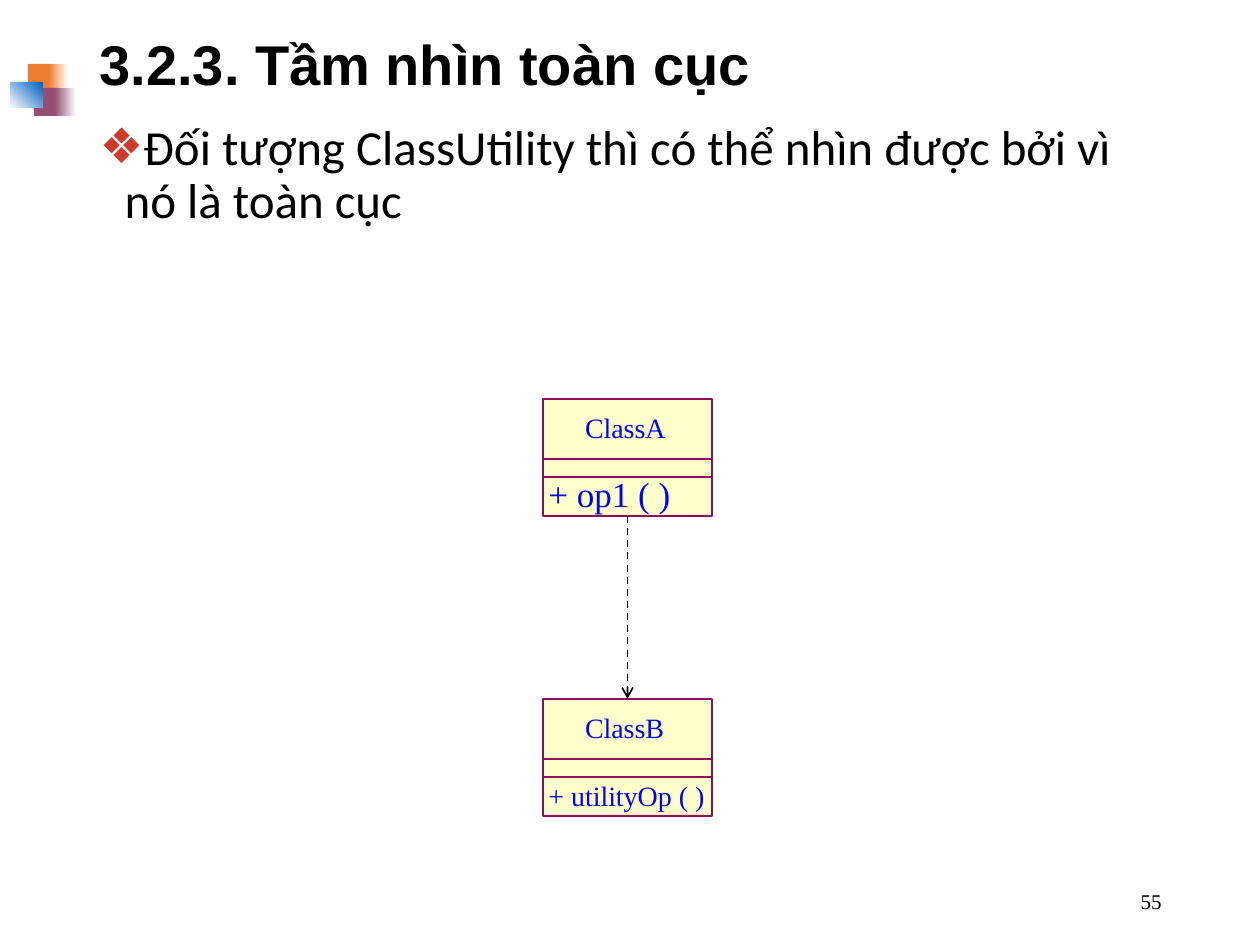
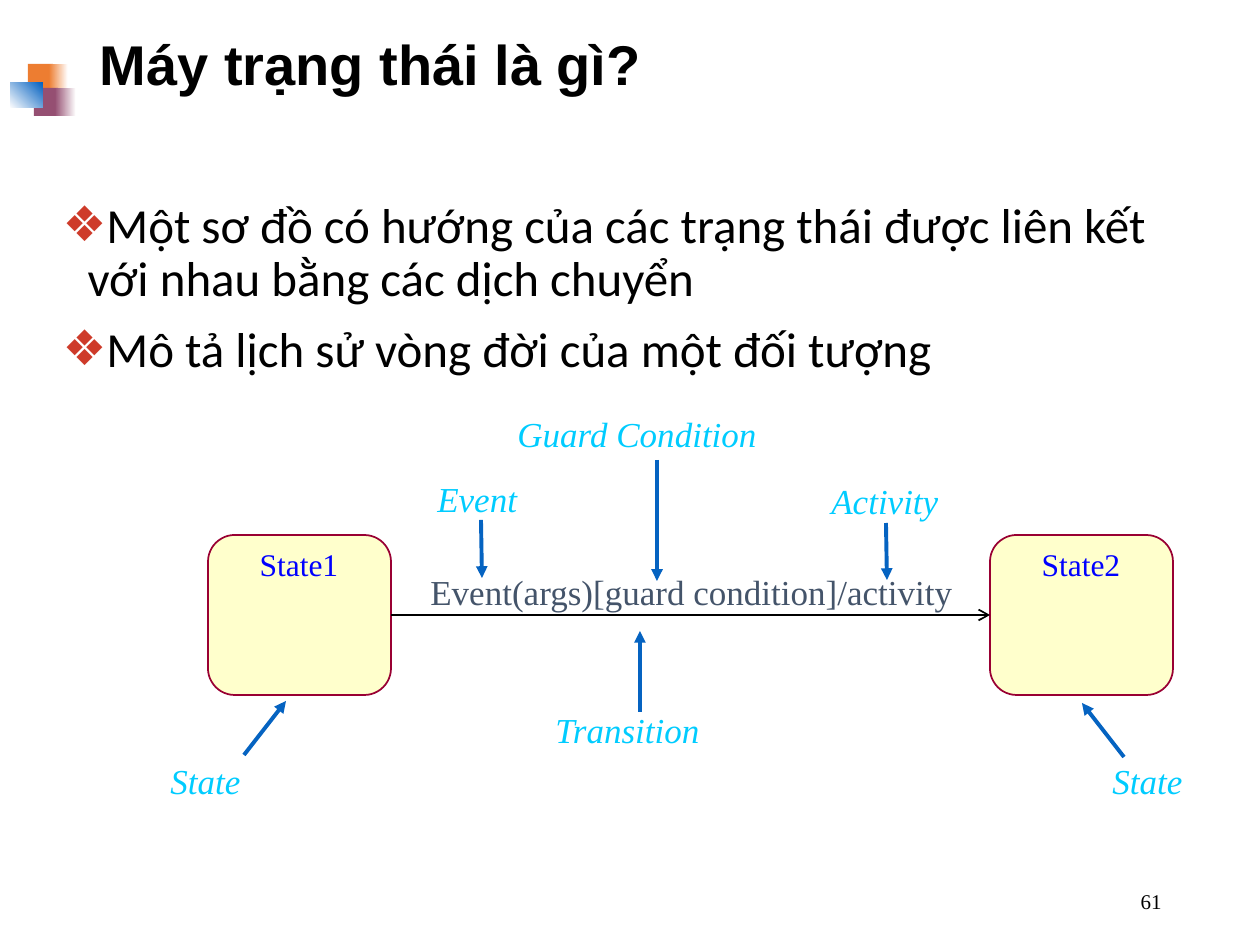
import lxml.etree
import pptx
import pptx.dml.color
import pptx.enum.dml
import pptx.enum.shapes
import pptx.enum.text
import pptx.oxml.ns
import pptx.util

RGBColor = pptx.dml.color.RGBColor
BLACK = RGBColor(0x00, 0x00, 0x00)
WHITE = RGBColor(0xFF, 0xFF, 0xFF)
ORANGE = RGBColor(0xED, 0x7D, 0x31)
PURPLE = RGBColor(0x95, 0x4F, 0x72)
BLUE = RGBColor(0x05, 0x63, 0xC1)
BULLET_RED = RGBColor(0xCE, 0x3B, 0x2A)
CREAM = RGBColor(0xFF, 0xFF, 0xCC)
CLASS_BORDER = RGBColor(0x8A, 0x0E, 0x5E)
STATE_BORDER = RGBColor(0x99, 0x00, 0x33)
NAME_BLUE = RGBColor(0x00, 0x00, 0xFF)
CALLOUT_CYAN = RGBColor(0x00, 0xCC, 0xFF)
SLATE = RGBColor(0x44, 0x54, 0x6A)

EMU_PER_PX = 914400 / 126
SERIF = "Times New Roman"
RECTANGLE = pptx.enum.shapes.MSO_SHAPE.RECTANGLE
ROUNDED = pptx.enum.shapes.MSO_SHAPE.ROUNDED_RECTANGLE
ALIGN = pptx.enum.text.PP_ALIGN
ANCHOR = pptx.enum.text.MSO_ANCHOR
DASH = pptx.enum.dml.MSO_LINE.DASH
TOP, LEFT, BOTTOM, RIGHT = range(4)

CLASS_WIDTH, CLASS_HEIGHT = 169, 117
STATE_WIDTH, STATE_HEIGHT = 183, 160


def px(length):
    return pptx.util.Emu(round(length * EMU_PER_PX))


def place(shape, box):
    shape.left, shape.top, shape.width, shape.height = map(px, box)


def add_child(parent, tag, **attributes):
    return lxml.etree.SubElement(parent, pptx.oxml.ns.qn(tag), attributes)


def add_bullet(paragraph):
    properties = paragraph._p.get_or_add_pPr()
    properties.set("marL", str(px(25)))
    properties.set("indent", str(-px(25)))
    add_child(add_child(properties, "a:buClr"), "a:srgbClr", val=str(BULLET_RED))
    add_child(properties, "a:buChar", char="❖")


def write_text(frame, text, size, color=BLACK, font=SERIF, bold=False, italic=False,
               align=ALIGN.LEFT, anchor=ANCHOR.TOP, spacing=1.0, before=0,
               bullet=False, wrap=True, inset=None):
    frame.auto_size = pptx.enum.text.MSO_AUTO_SIZE.NONE
    frame.word_wrap = wrap
    frame.vertical_anchor = anchor
    if inset is not None:
        frame.margin_left = frame.margin_right = px(inset)
        frame.margin_top = frame.margin_bottom = px(inset)
    for index, line in enumerate(text.split("\n")):
        paragraph = frame.add_paragraph() if index else frame.paragraphs[0]
        if bullet:
            add_bullet(paragraph)
        paragraph.alignment = align
        paragraph.line_spacing = spacing
        paragraph.space_before = pptx.util.Pt(before if index else 0)
        run = paragraph.add_run()
        run.text = line
        run.font.size = pptx.util.Pt(size)
        run.font.name = font
        run.font.bold = bold
        run.font.italic = italic
        run.font.color.rgb = color


def add_label(slide, text, box, size, **text_format):
    label = slide.shapes.add_textbox(*map(px, box))
    write_text(label.text_frame, text, size, **text_format)


def add_block(slide, box, fill, border=None, kind=RECTANGLE):
    block = slide.shapes.add_shape(kind, *map(px, box))
    block.shadow.inherit = False
    block.fill.solid()
    block.fill.fore_color.rgb = fill
    if border is None:
        block.line.fill.background()
    else:
        block.line.color.rgb = border
        block.line.width = pptx.util.Pt(1)
    return block


def add_fade(slide, box, start, end, angle=0):
    fade = add_block(slide, box, start)
    fade.fill.gradient()
    fade.fill.gradient_angle = angle
    for stop, color in zip(fade.fill.gradient_stops, (start, end)):
        stop.color.rgb = color


def add_line(slide, ends, color, width=1, dash=None, head=None):
    line = slide.shapes.add_connector(
        pptx.enum.shapes.MSO_CONNECTOR.STRAIGHT, *map(px, ends))
    line.line.color.rgb = color
    line.line.width = pptx.util.Pt(width)
    if dash is not None:
        line.line.dash_style = dash
    properties = line._element.spPr
    if head:
        add_child(properties.find(pptx.oxml.ns.qn("a:ln")), "a:tailEnd", type=head)
    add_child(properties, "a:effectLst")
    return line


def join(slide, source, source_side, target, target_side, dash=None):
    link = add_line(slide, (0, 0, 1, 1), BLACK, dash=dash, head="arrow")
    link.begin_connect(source, source_side)
    link.end_connect(target, target_side)


def add_corner_motif(slide):
    add_block(slide, (28, 64, 25, 28), ORANGE)
    add_fade(slide, (49, 64, 19, 28), ORANGE, WHITE)
    add_block(slide, (34, 88, 24, 28), PURPLE)
    add_fade(slide, (55, 88, 21, 28), PURPLE, WHITE)
    add_fade(slide, (10, 83, 33, 25), WHITE, BLUE, angle=45)


def start_slide(deck, title, points, points_box, number):
    slide = deck.slides.add_slide(deck.slide_layouts[1])
    add_corner_motif(slide)
    heading, body = slide.placeholders
    place(heading, (87, 16, 1086, 102))
    write_text(heading.text_frame, title, 32, font="Arial", bold=True,
               anchor=ANCHOR.MIDDLE, spacing=0.9)
    place(body, points_box)
    write_text(body.text_frame, points, 28, font="Calibri", spacing=0.9,
               before=10, bullet=True)
    add_label(slide, number, (890, 876, 284, 50), 12, align=ALIGN.RIGHT,
              anchor=ANCHOR.MIDDLE)
    return slide


def add_class(slide, left, top, name, operation, operation_size, operation_offset):
    frame = add_block(slide, (left, top, CLASS_WIDTH, CLASS_HEIGHT), CREAM, CLASS_BORDER)
    for offset in (60, 78):
        add_line(slide, (left, top + offset, left + CLASS_WIDTH, top + offset), CLASS_BORDER)
    name_plate = add_block(slide, (left + 42, top + 12, 82, 34), CREAM)
    write_text(name_plate.text_frame, name, 16, color=NAME_BLUE, wrap=False, inset=0)
    add_label(slide, operation, (left - 7, top + operation_offset, 220, 50),
              operation_size, color=NAME_BLUE)
    return frame


def add_state(slide, left, top, name):
    state = add_block(slide, (left, top, STATE_WIDTH, STATE_HEIGHT), CREAM,
                      STATE_BORDER, ROUNDED)
    add_label(slide, name, (left + 21, top + 4, 140, 50), 18, color=NAME_BLUE,
              align=ALIGN.CENTER)
    return state


def add_callout(slide, text, left, top, width, arrow):
    add_label(slide, text, (left, top, width, 54), 20, color=CALLOUT_CYAN,
              italic=True, wrap=False)
    add_line(slide, arrow, BLUE, width=2.25, head="triangle")


def build_global_visibility(deck):
    slide = start_slide(
        deck, "3.2.3. Tầm nhìn toàn cục",
        "Đối tượng ClassUtility thì có thể nhìn được bởi vì nó là toàn cục",
        (87, 117, 1086, 713), "55")
    client = add_class(slide, 543, 399, "ClassA", "+ op1 ( )", 20, 67)
    utility = add_class(slide, 543, 699, "ClassB", "+ utilityOp ( )", 16, 73)
    join(slide, client, BOTTOM, utility, TOP, dash=DASH)


def build_state_machine(deck):
    slide = start_slide(
        deck, "Máy trạng thái là gì?",
        "Một sơ đồ có hướng của các trạng thái được liên kết với nhau bằng các dịch chuyển\n"
        "Mô tả lịch sử vòng đời của một đối tượng",
        (50, 195, 1152, 226), "61")
    first_state = add_state(slide, 208, 535, "State1")
    second_state = add_state(slide, 990, 535, "State2")
    join(slide, first_state, RIGHT, second_state, LEFT)
    add_label(slide, "Event(args)[guard condition]/activity", (418, 564, 568, 55), 20,
              color=SLATE)
    callouts = (
        ("State", 158, 753, 107, (244, 755, 286, 701)),
        ("State", 1100, 753, 107, (1124, 757, 1082, 703)),
        ("Transition", 543, 702, 179, (640, 712, 640, 631)),
        ("Guard Condition", 505, 406, 280, (657, 460, 657, 581)),
        ("Event", 425, 471, 115, (481, 520, 482, 578)),
        ("Activity", 819, 473, 136, (886, 523, 887, 580)),
    )
    for callout in callouts:
        add_callout(slide, *callout)


def main():
    deck = pptx.Presentation()
    deck.slide_width, deck.slide_height = px(1260), px(945)
    build_global_visibility(deck)
    build_state_machine(deck)
    deck.save("out.pptx")


if __name__ == "__main__":
    main()
